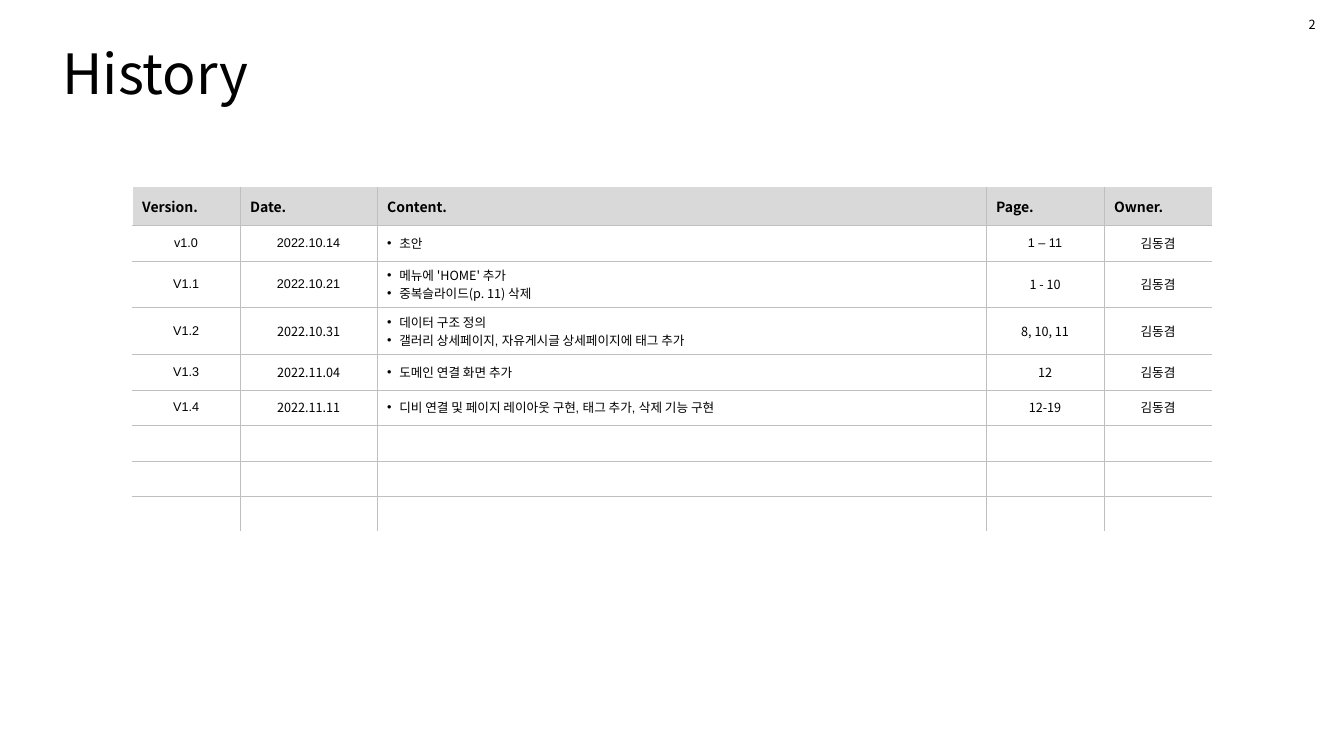
from lxml import etree
from pptx import Presentation
from pptx import util as u
from pptx.dml.color import RGBColor
from pptx.enum import text
from pptx.oxml.ns import qn

WIDTH, HEIGHT = u.Inches(13.33), u.Inches(7.5)
GRID_COLS, GRID_ROWS = 100, 60
COLORS = {"ink": "000000", "header": "D9D9D9", "rule": "BFBFBF", "paper": "FFFFFF"}
NOTO, ARIAL = "Noto Sans CJK KR", "Arial"
CENTER = text.PP_ALIGN.CENTER

COL_WIDTHS = [8.03, 10.2, 45.31, 8.78, 8.03]
HEADER_HEIGHT, ROW_HEIGHT, TWO_LINE_HEIGHT = 3, 2.82, 3.68
EMPTY_ROWS = 3
CONTENT_COL = 2
HEADINGS = ["Version.", "Date.", "Content.", "Page.", "Owner."]
OWNER = "김동겸"
# Each entry: version, date, content lines, pages, then the Latin font of each of these
HISTORY = [
    ("v1.0", "2022.10.14", ["초안"], "1 – 11", (ARIAL, ARIAL, NOTO, ARIAL)),
    ("V1.1", "2022.10.21", ["메뉴에 'HOME' 추가", "중복슬라이드(p. 11) 삭제"], "1 - 10",
     (ARIAL, ARIAL, NOTO, NOTO)),
    ("V1.2", "2022.10.31",
     ["데이터 구조 정의", "갤러리 상세페이지, 자유게시글 상세페이지에 태그 추가"], "8, 10, 11",
     (ARIAL, NOTO, ARIAL, NOTO)),
    ("V1.3", "2022.11.04", ["도메인 연결 화면 추가"], "12", (ARIAL, NOTO, ARIAL, NOTO)),
    ("V1.4", "2022.11.11", ["디비 연결 및 페이지 레이아웃 구현, 태그 추가, 삭제 기능 구현"], "12-19",
     (ARIAL, NOTO, ARIAL, NOTO)),
]


def cols(n):
    return round(WIDTH * n / GRID_COLS)


def rows(n):
    return round(HEIGHT * n / GRID_ROWS)


def box(x, y, w, h):
    return cols(x), rows(y), cols(w), rows(h)


def write(p, content, size=9, font=NOTO, bold=False, align=text.PP_ALIGN.LEFT, bullet=False):
    p.alignment = align
    if bullet:
        indent = u.Inches(0.12)
        pPr = p._p.get_or_add_pPr()
        pPr.set("marL", str(indent))
        pPr.set("indent", str(-indent))
        etree.SubElement(pPr, qn("a:buFont"), typeface=ARIAL)
        etree.SubElement(pPr, qn("a:buChar"), char="•")
    r = p.add_run()
    r.text = content
    r.font.size = u.Pt(size)
    r.font.name = font
    r.font.bold = bold
    r.font.color.rgb = RGBColor.from_string(COLORS["ink"])
    etree.SubElement(r._r.get_or_add_rPr(), qn("a:ea"), typeface=NOTO)


def set_border(cell, side, color, width):
    """Draw one side (L, R, T or B) of a cell, or clear it when color is None."""
    ln = etree.SubElement(cell._tc.get_or_add_tcPr(), qn(f"a:ln{side}"), w=str(u.Pt(width)))
    if color is None:
        etree.SubElement(ln, qn("a:noFill"))
    else:
        fill = etree.SubElement(ln, qn("a:solidFill"))
        etree.SubElement(fill, qn("a:srgbClr"), val=COLORS[color])


def style_cell(cell, row, col, last_row):
    rule, edge, none = ("rule", 0.25), ("paper", 1), (None, 0)
    set_border(cell, "L", *(rule if col else edge))
    set_border(cell, "R", *(rule if col < len(COL_WIDTHS) - 1 else none))
    set_border(cell, "T", *(rule if row else none))
    set_border(cell, "B", *(rule if row < last_row else edge))
    cell.vertical_anchor = text.MSO_ANCHOR.MIDDLE
    if row == 0:
        cell.fill.solid()
        cell.fill.fore_color.rgb = RGBColor.from_string(COLORS["header"])
    else:
        cell.fill.background()


def fill_entry(table, row, entry):
    *values, fonts = entry
    for col, (value, font) in enumerate(zip([*values, OWNER], [*fonts, NOTO])):
        tf = table.cell(row, col).text_frame
        if col == CONTENT_COL:
            for i, line in enumerate(value):
                p = tf.add_paragraph() if i else tf.paragraphs[0]
                write(p, line, font=font, bullet=True)
        else:
            write(tf.paragraphs[0], value, font=font, align=CENTER)


def add_title(s, content):
    title = s.shapes.title
    title.left, title.top, title.width, title.height = box(3.9, 3.52, 93.7, 5.04)
    tf = title.text_frame
    tf.auto_size = text.MSO_AUTO_SIZE.NONE
    tf.vertical_anchor = text.MSO_ANCHOR.MIDDLE
    tf.paragraphs[0].line_spacing = 0.9
    write(tf.paragraphs[0], content, size=39.6)


def add_history_table(s):
    heights = [HEADER_HEIGHT]
    heights += [TWO_LINE_HEIGHT if len(entry[CONTENT_COL]) > 1 else ROW_HEIGHT for entry in HISTORY]
    heights += [ROW_HEIGHT] * EMPTY_ROWS
    frame = s.shapes.add_table(len(heights), len(COL_WIDTHS),
                               *box(9.83, 14.88, sum(COL_WIDTHS), sum(heights)))
    table = frame.table
    table.horz_banding = False
    for column, width in zip(table.columns, COL_WIDTHS):
        column.width = cols(width)
    for i, height in enumerate(heights):
        table.rows[i].height = rows(height)
        for j, cell in enumerate(table.rows[i].cells):
            style_cell(cell, i, j, len(heights) - 1)
            if i > len(HISTORY):
                p = cell.text_frame.paragraphs[0]
                etree.SubElement(p._p, qn("a:endParaRPr"), sz="900")
    for col, heading in enumerate(HEADINGS):
        write(table.cell(0, col).text_frame.paragraphs[0], heading, size=10, bold=True)
    for row, entry in enumerate(HISTORY, start=1):
        fill_entry(table, row, entry)


def add_page_number(s, number):
    tf = s.shapes.add_textbox(*box(96.62, 0.96, 2.03, 2)).text_frame
    tf.word_wrap = False
    tf.auto_size = text.MSO_AUTO_SIZE.SHAPE_TO_FIT_TEXT
    write(tf.paragraphs[0], number)


def main():
    prs = Presentation()
    prs.slide_width, prs.slide_height = WIDTH, HEIGHT
    s = prs.slides.add_slide(prs.slide_layouts[5])
    add_title(s, "History")
    add_history_table(s)
    add_page_number(s, "2")
    prs.save("out.pptx")


if __name__ == "__main__":
    main()
